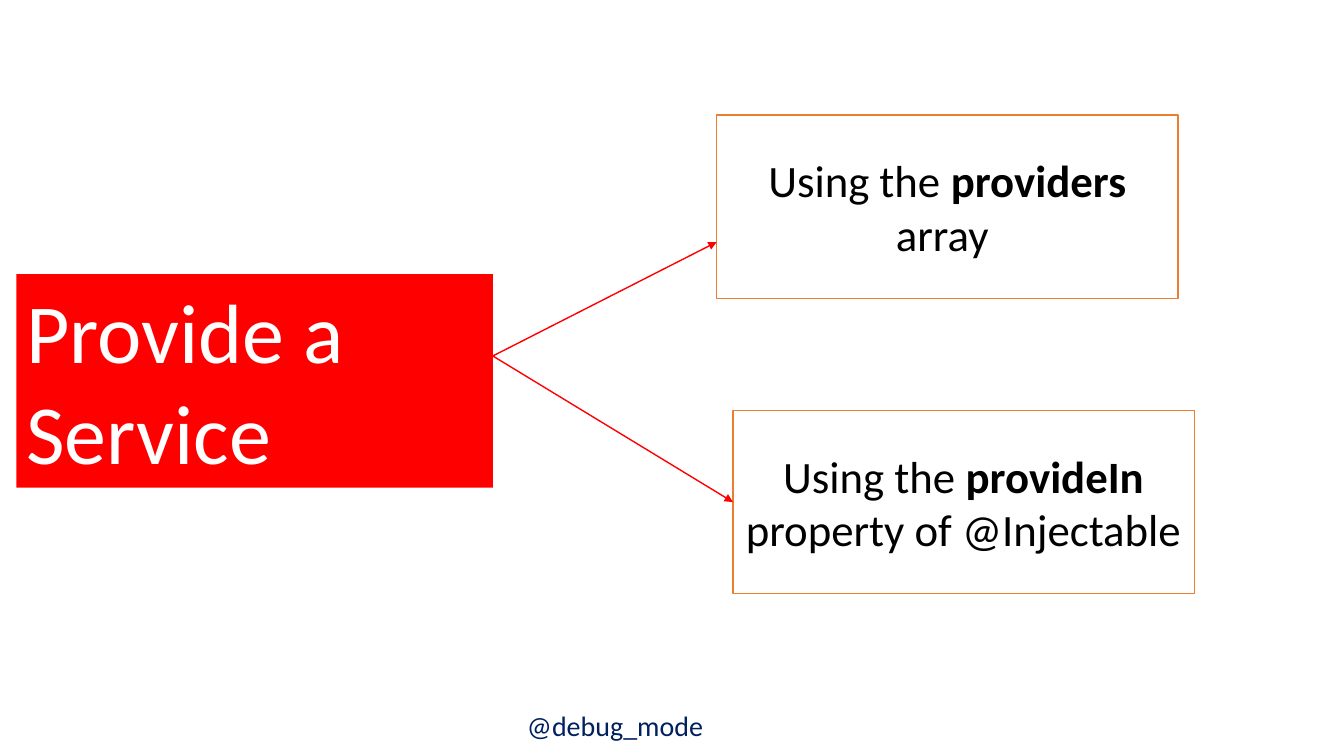
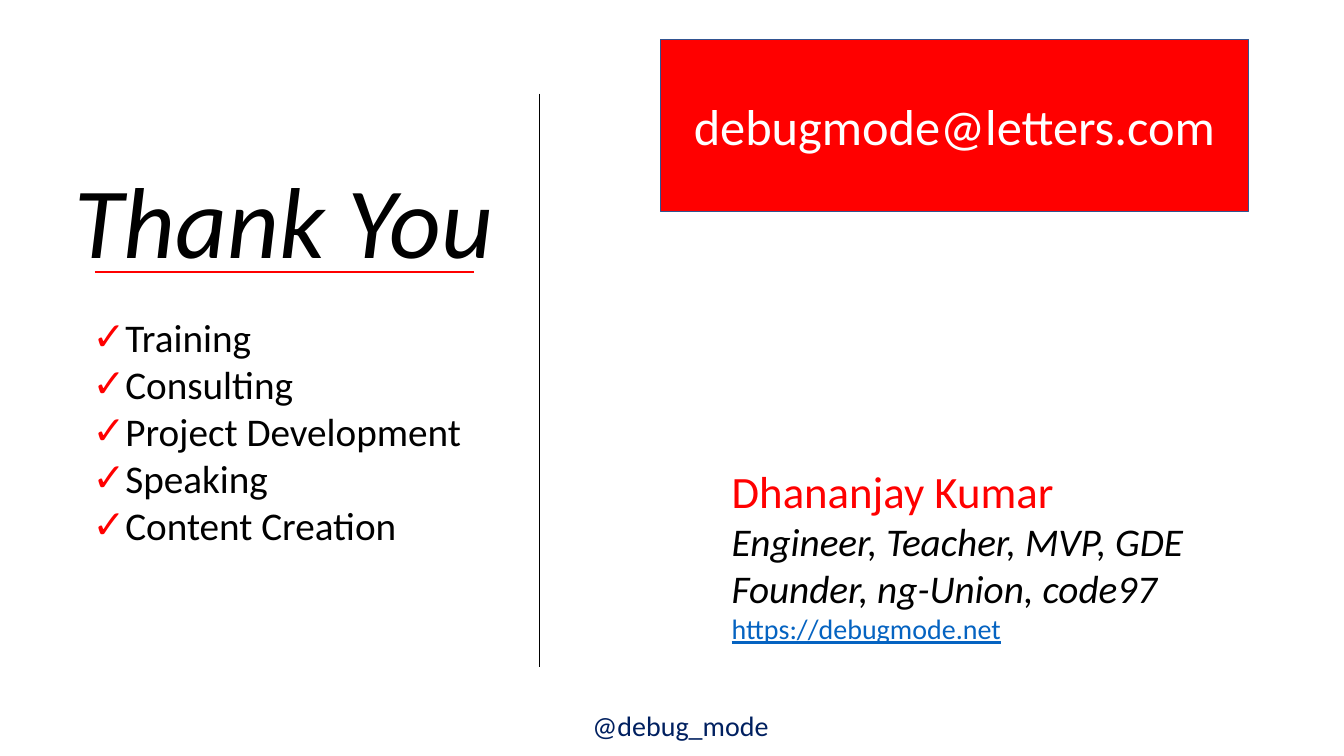
"""Build a service provision slide and a closing contact slide."""
from lxml.etree import SubElement
from pptx import Presentation
from pptx.dml.color import RGBColor
from pptx.enum.shapes import MSO_CONNECTOR, MSO_SHAPE
from pptx.enum.text import MSO_ANCHOR, MSO_AUTO_SIZE, PP_ALIGN
from pptx.oxml.ns import qn
from pptx.util import Cm, Pt

COLORS = {
    "red": "FF0000",
    "orange": "ED7D31",
    "blue": "325491",
    "navy": "002060",
    "link": "0563C1",
    "white": "FFFFFF",
    "black": "000000",
}
FONT = "Calibri"
TITLE_ONLY, TITLE_AND_LIST = 5, 1


def rgb(name):
    return RGBColor.from_string(COLORS[name])


class Deck:
    def __init__(self):
        self.prs = Presentation()
        self.prs.slide_width, self.prs.slide_height = Cm(33.87), Cm(19.05)
        self.slide = None

    def add_slide(self, layout, handle_left):
        self.slide = self.prs.slides.add_slide(self.prs.slide_layouts[layout])
        self.text((handle_left, 17.73, 9.9, 1.12), ["@debug_mode"], 20, "navy")

    def style(self, run, size, color, bold=False, italic=False, underline=False):
        font = run.font
        font.name, font.size, font.color.rgb = FONT, Pt(size), rgb(color)
        font.bold, font.italic, font.underline = bold, italic, underline

    def fill_text(self, shape, lines, size, color, align=PP_ALIGN.LEFT,
                  anchor=MSO_ANCHOR.TOP, **emphasis):
        frame = shape.text_frame
        frame.text = "\n".join(lines)
        frame.word_wrap, frame.auto_size = True, MSO_AUTO_SIZE.NONE
        frame.vertical_anchor = anchor
        for paragraph in frame.paragraphs:
            paragraph.alignment = align
            paragraph.space_before = Pt(0)
            for run in paragraph.runs:
                self.style(run, size, color, **emphasis)
        return frame.paragraphs

    def place(self, shape, area):
        shape.left, shape.top, shape.width, shape.height = map(Cm, area)

    def title(self, area, wording, size, color, fill=None, **emphasis):
        title = self.slide.shapes.title
        self.place(title, area)
        if fill:
            title.fill.solid()
            title.fill.fore_color.rgb = rgb(fill)
        self.fill_text(title, [wording], size, color, **emphasis)

    def checklist(self, area, items, size):
        body = self.slide.placeholders[1]
        self.place(body, area)
        for paragraph in self.fill_text(body, items, size, "black"):
            props = paragraph._p.get_or_add_pPr()
            props.set("marL", str(Cm(0.79)))
            props.set("indent", str(Cm(-0.79)))
            bullet_color = SubElement(props, qn("a:buClr"))
            SubElement(bullet_color, qn("a:srgbClr"), val=COLORS["red"])
            SubElement(props, qn("a:buChar"), char="✓")

    def text(self, area, lines, size, color, **emphasis):
        label = self.slide.shapes.add_textbox(*map(Cm, area))
        return self.fill_text(label, lines, size, color, **emphasis)

    def box(self, area, parts, size, color, fill, outline):
        box = self.slide.shapes.add_shape(MSO_SHAPE.RECTANGLE, *map(Cm, area))
        box.shadow.inherit = False
        box.fill.solid()
        box.fill.fore_color.rgb = rgb(fill)
        box.line.color.rgb, box.line.width = rgb(outline), Pt(1)
        paragraph = self.fill_text(box, parts[:1], size, color,
                                   PP_ALIGN.CENTER, MSO_ANCHOR.MIDDLE)[0]
        for index, part in enumerate(parts[1:], 1):
            run = paragraph.add_run()
            run.text = part
            self.style(run, size, color, bold=index % 2 == 1)
        return box

    def line(self, start, end, color, width, arrow=False):
        line = self.slide.shapes.add_connector(
            MSO_CONNECTOR.STRAIGHT, *map(Cm, (*start, *end)))
        line.line.color.rgb, line.line.width = rgb(color), Pt(width)
        if arrow:
            SubElement(line.line._get_or_add_ln(), qn("a:tailEnd"), type="triangle")
        SubElement(line._element.spPr, qn("a:effectLst"))
        return line


def provide_service(deck):
    deck.add_slide(TITLE_ONLY, 13.03)
    deck.title((0.41, 6.91, 12.01, 5.38), "Provide a Service", 60, "white", "red")
    option = {"size": 32, "color": "black", "fill": "white", "outline": "orange"}
    deck.box((18.06, 2.9, 11.63, 4.62),
             ["Using the ", "providers", " array "], **option)
    injectable = deck.box((18.47, 10.34, 11.63, 4.62),
                          ["Using the ", "provideIn", " property of @Injectable"],
                          **option)
    fork = (12.42, 8.97)
    deck.line(fork, (18.06, 6.1), "red", 1, arrow=True)
    to_injectable = deck.line(fork, (18.47, 12.65), "red", 1, arrow=True)
    to_injectable.end_connect(injectable, 1)


def thank_you(deck):
    deck.add_slide(TITLE_AND_LIST, 14.68)
    deck.line((13.6, 2.36), (13.6, 16.8), "black", 0.5)
    deck.title((1.63, 3.84, 11.89, 3.33), "Thank You", 72, "black", italic=True)
    deck.line((2.39, 6.86), (11.94, 6.86), "red", 1.25)
    deck.checklist((2.08, 7.77, 11.4, 6.25),
                   ["Training", "Consulting", "Project Development",
                    "Speaking", "Content Creation"], 28)
    deck.box((16.64, 0.99, 14.83, 4.34), ["debugmode@letters.com"],
             36, "white", "red", "blue")
    speaker = deck.text((18.19, 11.56, 14.48, 4.88),
                        ["Dhananjay Kumar", "Engineer, Teacher, MVP, GDE",
                         "Founder, ng-Union, code97", "https://debugmode.net"],
                        28, "black", italic=True)
    deck.style(speaker[0].runs[0], 32, "red")
    deck.style(speaker[-1].runs[0], 20, "link", underline=True)


def main():
    deck = Deck()
    provide_service(deck)
    thank_you(deck)
    deck.prs.save("out.pptx")


if __name__ == "__main__":
    main()
